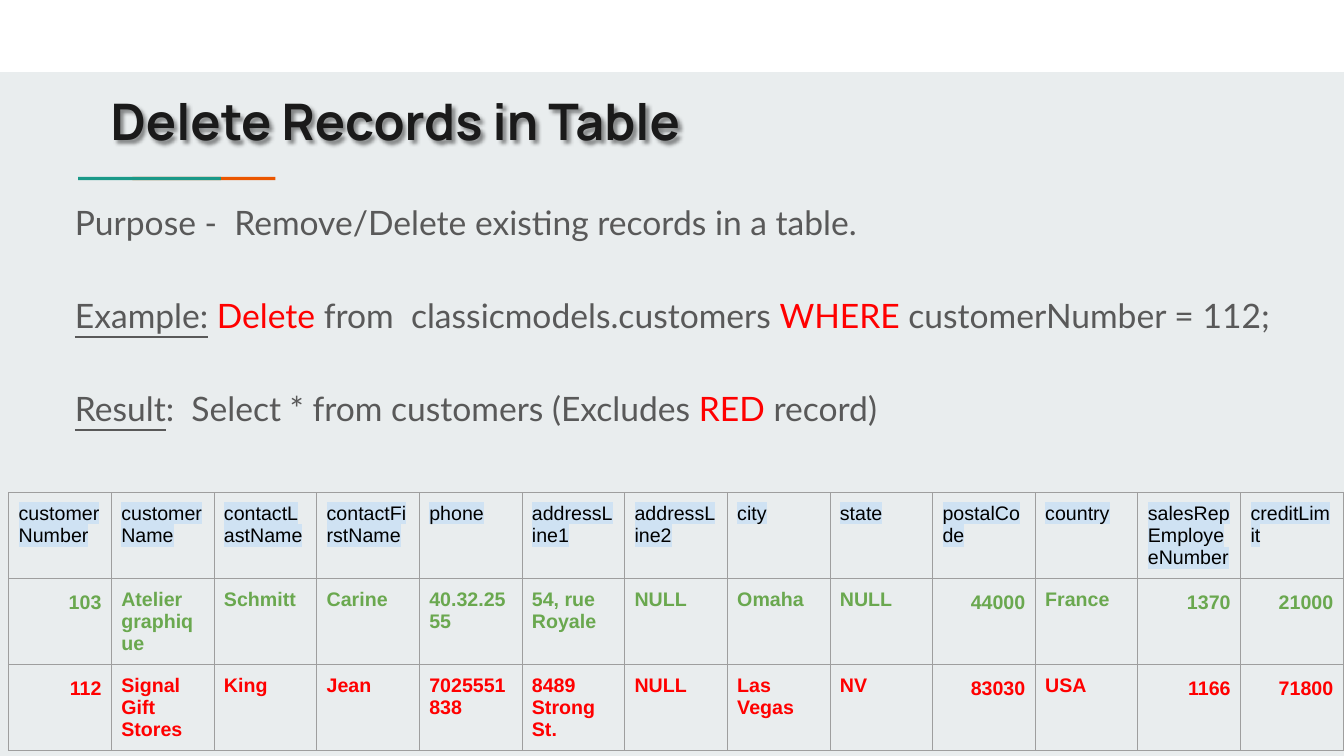
from lxml import etree
from pptx import Presentation
from pptx import util as u
from pptx.dml import color
from pptx.enum import shapes, text
from pptx.oxml import ns

INK, GREY, RED, GREEN = "1A1A1A", "595959", "FF0000", "6AA84F"
NUMBER_COLUMNS = {0, 9, 11, 12}
HEADERS = ["customerNumber", "customerName", "contactLastName", "contactFirstName",
           "phone", "addressLine1", "addressLine2", "city", "state", "postalCode",
           "country", "salesRepEmployeeNumber", "creditLimit"]
KEPT = ["103", "Atelier graphique", "Schmitt", "Carine", "40.32.2555",
        "54, rue Royale", "NULL", "Omaha", "NULL", "44000", "France", "1370", "21000"]
DELETED = ["112", "Signal Gift Stores", "King", "Jean", "7025551838",
           "8489 Strong St.", "NULL", "Las Vegas", "NV", "83030", "USA", "1166", "71800"]
STATEMENTS = [
    [("Purpose -  Remove/Delete existing records in a table.", GREY, False)],
    [("Example:", GREY, True), (" ", GREY, False), ("Delete", RED, False),
     (" from  classicmodels.customers ", GREY, False), ("WHERE", RED, False),
     (" customerNumber = 112;", GREY, False)],
    [("Result", GREY, True), (":  Select * from customers (Excludes ", GREY, False),
     ("RED ", RED, False), ("record)", GREY, False)],
]


def rgb(value):
    return color.RGBColor.from_string(value)


def apply(target, values):
    for name, value in values.items():
        setattr(target, name, value)


def add_span(para, words, hue, **values):
    span = para.add_run()
    span.text = words
    apply(span.font, values)
    span.font.color.rgb = rgb(hue)
    return span


def add_highlight(span, hue):
    """Place the highlight before the typeface, as the schema orders them."""
    highlight = etree.Element(ns.qn("a:highlight"))
    etree.SubElement(highlight, ns.qn("a:srgbClr"), val=hue)
    span.font._element.find(ns.qn("a:latin")).addprevious(highlight)


def add_shadow(box):
    """Give an unfilled box a shadow, which falls from its text."""
    box.fill.background()
    effects = etree.SubElement(box._element.spPr, ns.qn("a:effectLst"))
    shadow = etree.SubElement(effects, ns.qn("a:outerShdw"), blurRad=str(u.Pt(3)),
                              dist=str(u.Pt(3)), dir="2700000", algn="tl")
    hue = etree.SubElement(shadow, ns.qn("a:srgbClr"), val="000000")
    etree.SubElement(hue, ns.qn("a:alpha"), val="43000")


def set_frame(frame, inset, anchor):
    side, top = (u.Cm(value) for value in inset)
    apply(frame, dict(word_wrap=True, auto_size=text.MSO_AUTO_SIZE.NONE,
                      vertical_anchor=anchor, margin_left=side, margin_right=side,
                      margin_top=top, margin_bottom=top))


def add_bar(page, left, top, width, height, hue):
    bar = page.shapes.add_shape(shapes.MSO_SHAPE.RECTANGLE,
                                *map(u.Cm, (left, top, width, height)))
    bar.shadow.inherit = False
    bar.fill.solid()
    bar.fill.fore_color.rgb = rgb(hue)
    bar.line.fill.background()


def add_accent(page, left, top, height):
    """Two equal bars, the teal one covering the start of the orange one."""
    width, offset = 3.6, 1.37
    add_bar(page, left + offset, top, width, height, "EB5600")
    add_bar(page, left, top, width, height, "1A9988")


def add_title(page, left, top, width, height):
    box = page.shapes.title
    apply(box, dict(left=u.Cm(left), top=u.Cm(top), width=u.Cm(width), height=u.Cm(height)))
    add_shadow(box)
    set_frame(box.text_frame, (0.25, 0.13), text.MSO_ANCHOR.MIDDLE)
    para = box.text_frame.paragraphs[0]
    para.alignment = text.PP_ALIGN.LEFT
    add_span(para, "Delete Records in Table", INK,
             size=u.Pt(36), name="Manrope", bold=True)


def add_statements(page, left, top, width, height):
    box = page.shapes.add_textbox(*map(u.Cm, (left, top, width, height)))
    frame = box.text_frame
    set_frame(frame, (0.25, 0.25), text.MSO_ANCHOR.TOP)
    for index, spans in enumerate(STATEMENTS):
        para = frame.add_paragraph() if index else frame.paragraphs[0]
        apply(para, dict(line_spacing=1.15, space_before=u.Pt(33.2 if index else 0)))
        for words, hue, underline in spans:
            add_span(para, words, hue, size=u.Pt(24), name="Lato", underline=underline)


def add_borders(cell):
    properties = cell._tc.get_or_add_tcPr()
    for side in ("lnL", "lnR", "lnT", "lnB"):
        line = etree.SubElement(properties, ns.qn(f"a:{side}"), w=str(u.Pt(0.75)))
        fill = etree.SubElement(line, ns.qn("a:solidFill"))
        etree.SubElement(fill, ns.qn("a:srgbClr"), val="9E9E9E")


def fill_cell(cell, words, hue, is_header, is_number):
    apply(cell, dict.fromkeys(
        ("margin_left", "margin_right", "margin_top", "margin_bottom"), u.Cm(0.25)))
    add_borders(cell)
    cell.fill.background()
    para = cell.text_frame.paragraphs[0]
    if is_number:
        apply(para, dict(alignment=text.PP_ALIGN.RIGHT, line_spacing=1.15))
    span = add_span(para, words, hue, size=u.Pt(14), name="Arial", bold=not is_header)
    if is_header:
        add_highlight(span, "CFE2F3")


def add_customers(page, left, top, width, height):
    rows = [(HEADERS, "000000"), (KEPT, GREEN), (DELETED, RED)]
    table = page.shapes.add_table(len(rows), len(HEADERS),
                                  *map(u.Cm, (left, top, width, height))).table
    apply(table, dict(first_row=False, horz_banding=False))
    for row, (values, hue) in enumerate(rows):
        for column, words in enumerate(values):
            fill_cell(table.cell(row, column), words, hue, row == 0,
                      row > 0 and column in NUMBER_COLUMNS)


def main():
    deck = Presentation()
    apply(deck, dict(slide_width=u.Cm(33.87), slide_height=u.Cm(19.05)))
    page = deck.slides.add_slide(deck.slide_layouts[5])
    page.background.fill.solid()
    page.background.fill.fore_color.rgb = rgb("E9EDEE")
    add_bar(page, 0, 0, 33.87, 1.81, "FFFFFF")
    add_accent(page, 1.97, 4.46, 0.08)
    add_title(page, 2.54, 1.68, 28.75, 2.7)
    add_statements(page, 1.64, 4.69, 31.98, 8.33)
    add_customers(page, 0.22, 12.41, 33.64, 6.51)
    deck.save("out.pptx")


if __name__ == "__main__":
    main()
